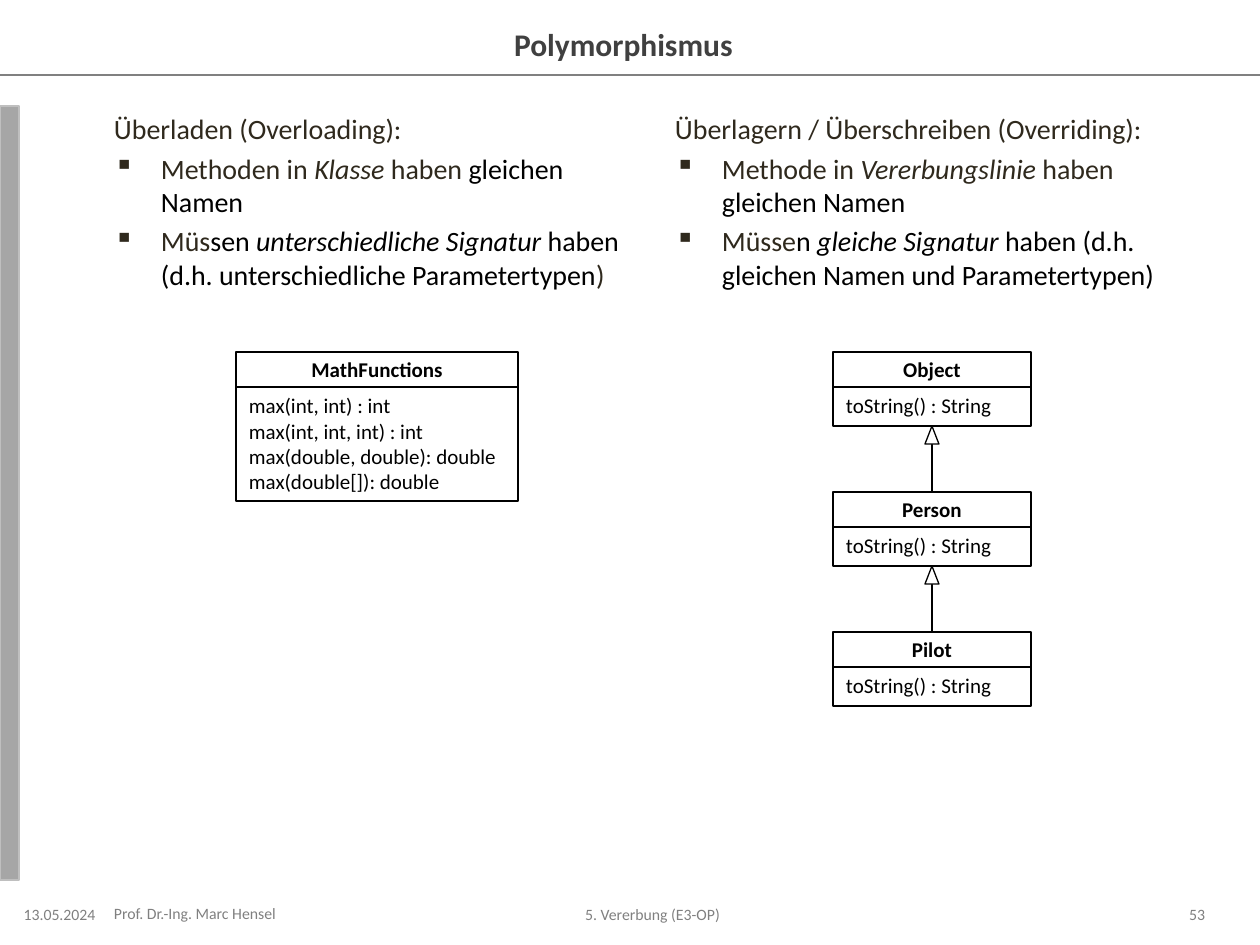
import pptx
import pptx.dml.color
import pptx.enum.shapes
import pptx.enum.text
import pptx.oxml.ns
import pptx.util
from lxml import etree

RGBColor = pptx.dml.color.RGBColor
BLACK = RGBColor(0x00, 0x00, 0x00)
WHITE = RGBColor(0xFF, 0xFF, 0xFF)
GRAY = RGBColor(0x80, 0x80, 0x80)
TITLE_GRAY = RGBColor(0x40, 0x40, 0x40)
BAR_FILL = RGBColor(0xA6, 0xA6, 0xA6)
BAR_LINE = RGBColor(0xBF, 0xBF, 0xBF)
BROWN = RGBColor(0x2F, 0x29, 0x1D)

SHAPE = pptx.enum.shapes.MSO_SHAPE
ALIGN = pptx.enum.text.PP_ALIGN
ANCHOR = pptx.enum.text.MSO_ANCHOR

PX_PER_INCH = 126
HEADER_HEIGHT = 35
LINE_HEIGHT = 25
METHOD_PADDING = 14
INDENT = 47

FOOTER = {"size": pptx.util.Pt(9), "color": GRAY}
TITLE = {"size": pptx.util.Pt(18), "color": TITLE_GRAY, "bold": True}
CLASS_NAME = {"size": pptx.util.Pt(12), "color": BLACK, "bold": True}
METHOD = {"size": pptx.util.Pt(12), "color": BLACK}
BODY = {"size": pptx.util.Pt(16), "color": BROWN}
BODY_ITALIC = {**BODY, "italic": True}
BODY_BLACK = {**BODY, "color": BLACK}
BODY_BLACK_ITALIC = {**BODY_BLACK, "italic": True}


def px(length):
    return pptx.util.Inches(length / PX_PER_INCH)


def add_run(paragraph, text, font_format):
    run = paragraph.add_run()
    run.text = text
    run.font.name = "Calibri"
    for name, value in font_format.items():
        if name == "color":
            run.font.color.rgb = value
        else:
            setattr(run.font, name, value)


def set_frame(shape, left=13, right=13, anchor=ANCHOR.TOP):
    frame = shape.text_frame
    settings = {"word_wrap": True, "vertical_anchor": anchor,
                "margin_left": px(left), "margin_right": px(right),
                "margin_top": px(6), "margin_bottom": px(6)}
    for name, value in settings.items():
        setattr(frame, name, value)
    return frame


def add_label(slide, box, text, font_format, alignment, left=0, right=13):
    shape = slide.shapes.add_textbox(*map(px, box))
    paragraph = set_frame(shape, left, right, ANCHOR.MIDDLE).paragraphs[0]
    paragraph.alignment = alignment
    add_run(paragraph, text, font_format)


def add_outlined(shapes, kind, box, fill=WHITE, line=BLACK):
    shape = shapes.add_shape(kind, *map(px, box))
    shape.shadow.inherit = False
    shape.fill.solid()
    shape.fill.fore_color.rgb = fill
    shape.line.color.rgb = line
    shape.line.width = pptx.util.Pt(0.75)
    return shape


def add_line(shapes, start, end, color):
    line = shapes.add_connector(pptx.enum.shapes.MSO_CONNECTOR.STRAIGHT,
                                *map(px, start + end))
    line.line.color.rgb = color
    line.line.width = pptx.util.Pt(0.75)
    properties = line._element.spPr
    etree.SubElement(properties, pptx.oxml.ns.qn("a:effectLst"))


def add_page_frame(slide, width, height):
    # Title with rule, and the bar at the left edge
    add_line(slide.shapes, (0, 75), (width, 75), GRAY)
    add_outlined(slide.shapes, SHAPE.RECTANGLE, (0, 106, 19, 774), BAR_FILL, BAR_LINE)
    add_label(slide, (156, 19, 948, 49), "Polymorphismus", TITLE, ALIGN.CENTER)
    # Footer
    top = height - 41
    add_label(slide, (19, top, 94, 20), "13.05.2024", FOOTER, ALIGN.CENTER)
    add_label(slide, (114, top, 189, 19), "Prof. Dr.-Ing. Marc Hensel", FOOTER, ALIGN.LEFT)
    add_label(slide, (312, top, 694, 20), "5. Vererbung (E3-OP)", FOOTER, ALIGN.CENTER)
    add_label(slide, (1124, top, 81, 20), "53", FOOTER, ALIGN.RIGHT, left=13, right=0)


def add_column(slide, box, heading, bullets):
    frame = set_frame(slide.shapes.add_textbox(*map(px, box)), left=0)
    add_run(frame.paragraphs[0], heading, BODY)
    for runs in bullets:
        paragraph = frame.add_paragraph()
        paragraph.space_before = pptx.util.Pt(3.2)
        properties = paragraph._p.get_or_add_pPr()
        properties.set("marL", str(px(INDENT)))
        properties.set("indent", str(-px(INDENT)))
        bullet = etree.SubElement(properties, pptx.oxml.ns.qn("a:buChar"))
        bullet.set("char", "▪")
        for text, font_format in runs:
            add_run(paragraph, text, font_format)


def add_class(shapes, left, top, width, name, methods):
    """Draws a UML class and returns its bottom edge."""
    header = add_outlined(shapes, SHAPE.RECTANGLE, (left, top, width, HEADER_HEIGHT))
    paragraph = set_frame(header, anchor=ANCHOR.MIDDLE).paragraphs[0]
    paragraph.alignment = ALIGN.CENTER
    add_run(paragraph, name, CLASS_NAME)

    body_top = top + HEADER_HEIGHT
    body_height = METHOD_PADDING + LINE_HEIGHT * len(methods)
    body = add_outlined(shapes, SHAPE.RECTANGLE, (left, body_top, width, body_height))
    frame = set_frame(body)
    for index, method in enumerate(methods):
        paragraph = frame.add_paragraph() if index else frame.paragraphs[0]
        paragraph.alignment = ALIGN.LEFT
        add_run(paragraph, method, METHOD)
    return body_top + body_height


def add_inheritance(shapes, left, top, width, pitch, names):
    center = left + width // 2
    parent_bottom = None
    for index, name in enumerate(names):
        class_top = top + index * pitch
        bottom = add_class(shapes, left, class_top, width, name, ["toString() : String"])
        if parent_bottom is not None:
            add_line(shapes, (center, class_top), (center, parent_bottom), BLACK)
            add_outlined(shapes, SHAPE.ISOSCELES_TRIANGLE,
                         (center - 7, parent_bottom, 14, 18))
        parent_bottom = bottom


def main():
    presentation = pptx.Presentation()
    width, height = 1260, 945
    presentation.slide_width = px(width)
    presentation.slide_height = px(height)
    slide = presentation.slides.add_slide(presentation.slide_layouts[6])
    add_page_frame(slide, width, height)

    # Text columns
    add_column(slide, (114, 106, 531, 762), "Überladen (Overloading):", [
        [("Methoden in ", BODY), ("Klasse", BODY_ITALIC), (" haben ", BODY),
         ("gleichen Namen", BODY_BLACK)],
        [("Müs", BODY), ("sen ", BODY_BLACK),
         ("unterschiedliche Signatur", BODY_BLACK_ITALIC),
         (" haben (d.h. unterschiedliche Parametertypen", BODY_BLACK), (")", BODY)],
    ])
    add_column(slide, (675, 106, 531, 762), "Überlagern / Überschreiben (Overriding):", [
        [("Methode in ", BODY), ("Vererbungslinie", BODY_ITALIC), (" haben ", BODY),
         ("gleichen Namen", BODY_BLACK)],
        [("Müsse", BODY), ("n ", BODY_BLACK), ("gleiche Signatur", BODY_BLACK_ITALIC),
         (" haben (d.h. gleichen Namen und Parametertypen)", BODY_BLACK)],
    ])

    # Class diagrams
    overloading = slide.shapes.add_group_shape()
    add_class(overloading.shapes, 236, 352, 282, "MathFunctions", [
        "max(int, int) : int", "max(int, int, int) : int",
        "max(double, double): double", "max(double[]): double"])
    overriding = slide.shapes.add_group_shape()
    add_inheritance(overriding.shapes, 833, 352, 198, 140, ["Object", "Person", "Pilot"])

    presentation.save("out.pptx")


if __name__ == "__main__":
    main()
